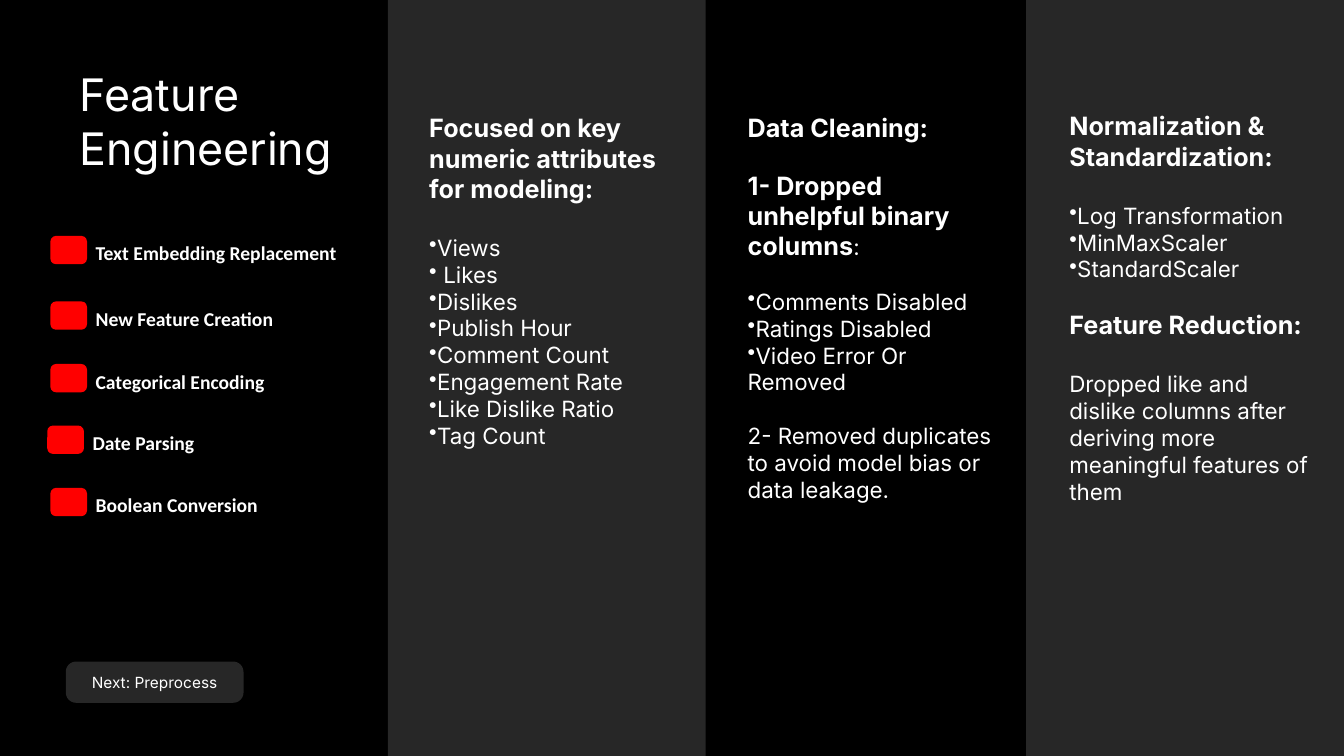
from dataclasses import dataclass

from lxml import etree
from pptx import Presentation
from pptx.dml.color import RGBColor
from pptx.enum.shapes import MSO_SHAPE
from pptx.enum.text import MSO_ANCHOR, PP_ALIGN
from pptx.oxml.ns import qn
from pptx.util import Pt

RECTANGLE = MSO_SHAPE.RECTANGLE
ROUNDED = MSO_SHAPE.ROUNDED_RECTANGLE
MIDDLE, TOP = MSO_ANCHOR.MIDDLE, MSO_ANCHOR.TOP
CENTER, LEFT = PP_ALIGN.CENTER, PP_ALIGN.LEFT

COLORS = {"background": "000000", "panel": "272727", "text": "FFFFFF", "marker": "FF0000"}
HEADING_SIZE, BODY_SIZE = 18, 16
LINE_HEIGHT = 1.21


@dataclass
class Line:
    text: str
    size: float = BODY_SIZE
    bold: bool = False
    bullet: bool = False
    gap: float = 0  # text size of the empty line above
    plain_ending: str = ""
    font: str = "Inter"
    spacing: float = 1.0


@dataclass
class Column:
    left: float
    top: float
    height: float
    lines: list[Line]


@dataclass
class Step:
    label: str
    left: float
    top: float


def heading(text: str, gap: float = 0, plain_ending: str = "") -> Line:
    return Line(text, HEADING_SIZE, True, gap=gap, plain_ending=plain_ending)


def bullets(names: list[str], gap: float) -> list[Line]:
    return [Line(name, bullet=True, gap=0 if i else gap) for i, name in enumerate(names)]


STEPS = [
    Step("Text Embedding Replacement", 36, 168.5),
    Step("New Feature Creation", 36, 215.3),
    Step("Categorical Encoding", 36, 260),
    Step("Date Parsing", 33.8, 304),
    Step("Boolean Conversion", 36, 348.5),
]

COLUMNS = [
    Column(299.5, 77, 303, [
        heading("Focused on key numeric attributes for modeling:"),
        *bullets(["Views", " Likes", "Dislikes", "Publish Hour", "Comment Count",
                  "Engagement Rate", "Like Dislike Ratio", "Tag Count"], HEADING_SIZE),
    ]),
    Column(527, 77, 385, [
        heading("Data Cleaning:"),
        heading("1- Dropped unhelpful binary columns", BODY_SIZE, ":"),
        *bullets(["Comments Disabled", "Ratings Disabled", "Video Error Or Removed"], BODY_SIZE),
        Line("2- Removed duplicates to avoid model bias or data leakage.", gap=BODY_SIZE),
    ]),
    Column(756.7, 75.6, 291, [
        heading("Normalization & Standardization:"),
        *bullets(["Log Transformation", "MinMaxScaler", "StandardScaler"], HEADING_SIZE),
        heading("Feature Reduction:", BODY_SIZE),
        Line("Dropped like and dislike columns after deriving more meaningful features of them",
             gap=HEADING_SIZE),
    ]),
]


def rgb(name: str) -> RGBColor:
    return RGBColor.from_string(COLORS[name])


def add_block(shapes, kind, left: float, top: float, width: float, height: float, color: str):
    block = shapes.add_shape(kind, Pt(left), Pt(top), Pt(width), Pt(height))
    block.shadow.inherit = False
    block.fill.solid()
    block.fill.fore_color.rgb = rgb(color)
    block.line.fill.background()
    return block


def style_font(font, size: float, bold: bool, name: str) -> None:
    font.size, font.bold, font.name = Pt(size), bold, name
    font.color.rgb = rgb("text")


def write_lines(frame, lines: list[Line], align=LEFT, anchor=TOP, wrap: bool = True) -> None:
    frame.word_wrap = wrap
    frame.vertical_anchor = anchor
    for i, line in enumerate(lines):
        paragraph = frame.paragraphs[0] if i == 0 else frame.add_paragraph()
        paragraph.alignment = align
        paragraph.line_spacing = line.spacing
        if line.gap:
            paragraph.space_before = Pt(round(line.gap * LINE_HEIGHT, 1))
        if line.bullet:
            properties = paragraph._p.get_or_add_pPr()
            properties.set("marL", "0")
            properties.set("indent", "0")
            etree.SubElement(properties, qn("a:buChar")).set("char", "•")
        text = paragraph.add_run()
        text.text = line.text
        if line.plain_ending:
            ending = paragraph.add_run()
            ending.text = line.plain_ending
            style_font(text.font, line.size, line.bold, line.font)
            style_font(ending.font, BODY_SIZE, False, line.font)
        else:
            style_font(paragraph.font, line.size, line.bold, line.font)


def add_text(shapes, left: float, top: float, width: float, height: float,
             lines: list[Line], wrap: bool = True) -> None:
    box = shapes.add_textbox(Pt(left), Pt(top), Pt(width), Pt(height))
    write_lines(box.text_frame, lines, wrap=wrap)


def add_step(shapes, step: Step) -> None:
    """Group a red marker with its label."""
    members = shapes.add_group_shape().shapes
    marker = add_block(members, ROUNDED, step.left, step.top, 26.2, 20.2, "marker")
    marker.adjustments[0] = 0.2
    add_text(members, step.left + 25.2, step.top - 3, 193, 26,
             [Line(step.label, 14, True, font="Calibri", spacing=1.2)])


def main() -> None:
    deck = Presentation()
    deck.slide_width, deck.slide_height = Pt(960), Pt(540)
    slide = deck.slides.add_slide(deck.slide_layouts[6])
    slide.background.fill.solid()
    slide.background.fill.fore_color.rgb = rgb("background")
    shapes = slide.shapes

    for panel_left in (277, 733):
        add_block(shapes, RECTANGLE, panel_left, 0, 227, 540, "panel")
    add_text(shapes, 49.7, 44, 201.6, 85, [Line("Feature", 32), Line("Engineering", 32)], wrap=False)
    for step in STEPS:
        add_step(shapes, step)

    next_button = add_block(shapes, ROUNDED, 47, 472.5, 127, 29.5, "panel")
    next_button.adjustments[0] = 0.25
    write_lines(next_button.text_frame, [Line("Next: Preprocess", 11)], CENTER, MIDDLE)

    for column in COLUMNS:
        add_text(shapes, column.left, column.top, 193, column.height, column.lines)
    deck.save("out.pptx")


if __name__ == "__main__":
    main()
